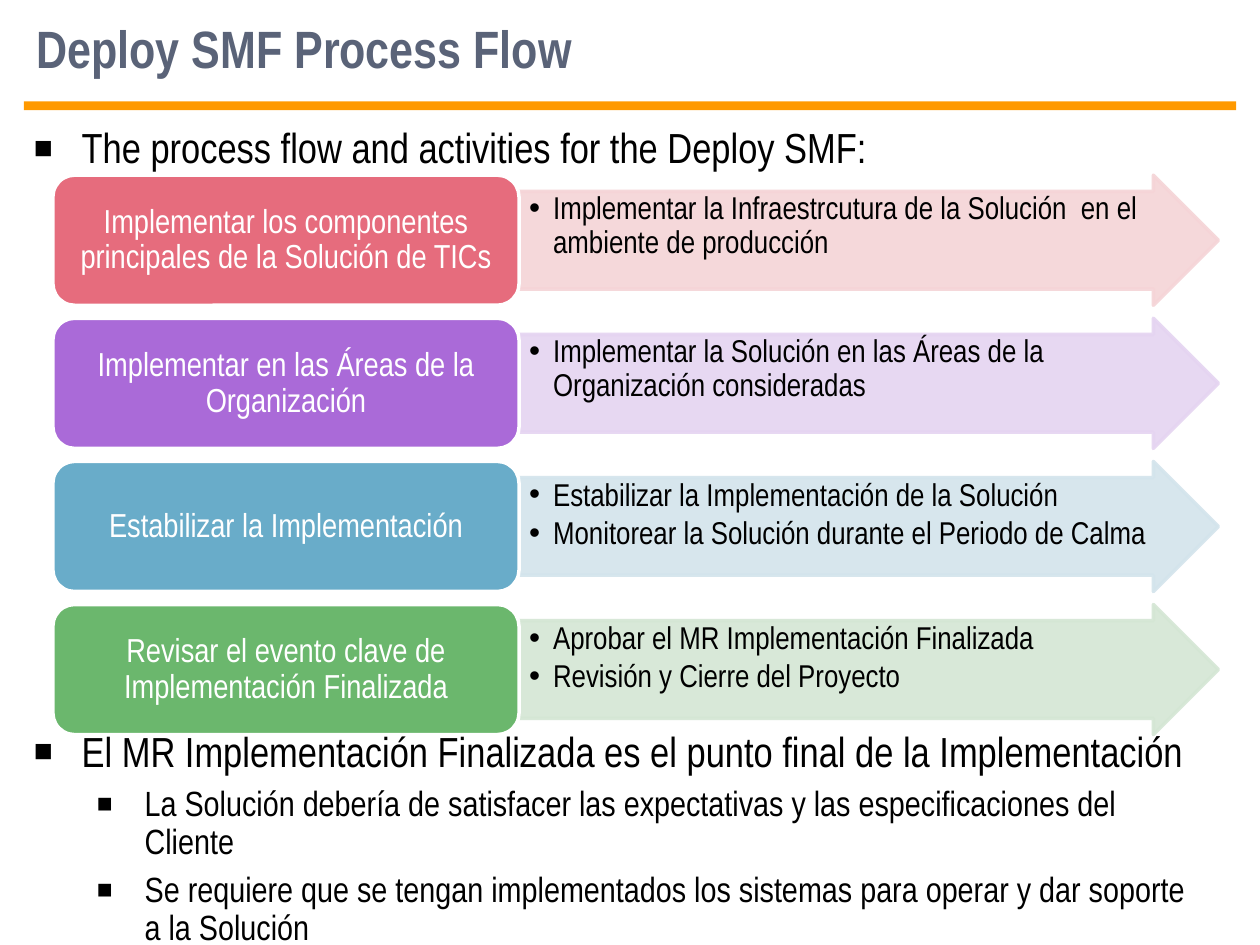
import collections

import pptx
import pptx.dml.color
import pptx.enum.shapes
import pptx.enum.text
import pptx.oxml
import pptx.oxml.ns
import pptx.util

RGBColor = pptx.dml.color.RGBColor
Shapes = pptx.enum.shapes.MSO_SHAPE
Anchor = pptx.enum.text.MSO_ANCHOR
Align = pptx.enum.text.PP_ALIGN

BLACK = RGBColor(0x00, 0x00, 0x00)
WHITE = RGBColor(0xFF, 0xFF, 0xFF)
SLATE = RGBColor(0x5A, 0x63, 0x78)
ORANGE = RGBColor(0xFF, 0x99, 0x00)
RED, PALE_RED = RGBColor(0xE6, 0x6C, 0x7D), RGBColor(0xF5, 0xD4, 0xD7)
PURPLE, PALE_PURPLE = RGBColor(0xAA, 0x6A, 0xD8), RGBColor(0xE5, 0xD4, 0xF1)
BLUE, PALE_BLUE = RGBColor(0x69, 0xAC, 0xC9), RGBColor(0xD3, 0xE4, 0xEC)
GREEN, PALE_GREEN = RGBColor(0x6B, 0xB7, 0x6D), RGBColor(0xD4, 0xE6, 0xD4)

FONT = "Arial Narrow"
SLIDE_WIDTH = pptx.util.Inches(10)
SLIDE_HEIGHT = pptx.util.Inches(7.5)
COLUMN = SLIDE_WIDTH / 100
ROW = SLIDE_HEIGHT / 75

Box = collections.namedtuple("Box", "left top width height")

STEPS = [
    ("Implementar los componentes principales de la Solución de TICs",
     ["Implementar la Infraestrcutura de la Solución  en el ambiente de producción"],
     RED, PALE_RED),
    ("Implementar en las Áreas de la Organización",
     ["Implementar la Solución en las Áreas de la Organización consideradas"],
     PURPLE, PALE_PURPLE),
    ("Estabilizar la Implementación",
     ["Estabilizar la Implementación de la Solución",
      "Monitorear la Solución durante el Periodo de Calma"],
     BLUE, PALE_BLUE),
    ("Revisar el evento clave de Implementación Finalizada",
     ["Aprobar el MR Implementación Finalizada",
      "Revisión y Cierre del Proyecto"],
     GREEN, PALE_GREEN),
]

INTRODUCTION = [(0, "The process flow and activities for the Deploy SMF:")]
CONCLUSION = [
    (0, "El MR Implementación Finalizada es el punto final de la Implementación"),
    (1, "La Solución debería de satisfacer las expectativas y las especificaciones del Cliente"),
    (1, "Se requiere que se tengan implementados los sistemas para operar y dar soporte a la Solución"),
]


def place(box):
    """Turn a box in grid units into slide lengths."""
    return (round(box.left * COLUMN), round(box.top * ROW),
            round(box.width * COLUMN), round(box.height * ROW))


def add_panel(slide, preset, box, fill, line=None):
    """Add a flat preset shape, outlined only when a line colour is given."""
    shape = slide.shapes.add_shape(preset, *place(box))
    shape.shadow.inherit = False
    shape.fill.solid()
    shape.fill.fore_color.rgb = fill
    if line is None:
        shape.line.fill.background()
    else:
        shape.line.color.rgb = line
        shape.line.width = pptx.util.Pt(2)
    return shape


def set_margins(text_frame, across, down):
    """Set the side margins and the top and bottom margins in inches."""
    text_frame.margin_left = text_frame.margin_right = pptx.util.Inches(across)
    text_frame.margin_top = text_frame.margin_bottom = pptx.util.Inches(down)


def write(paragraph, text, size, color, bold=False):
    """Write one paragraph in the slide's font and line spacing."""
    paragraph.text = text
    paragraph.line_spacing = 0.9
    for run in paragraph.runs:
        run.font.name = FONT
        run.font.size = pptx.util.Pt(size)
        run.font.bold = bold
        run.font.color.rgb = color


def add_bullet(paragraph, character, indent, hanging, percent=100):
    """Give a paragraph a bullet character and a hanging indent in inches."""
    properties = paragraph._p.get_or_add_pPr()
    properties.set("marL", str(pptx.util.Inches(indent)))
    properties.set("indent", str(-pptx.util.Inches(hanging)))
    namespace = pptx.oxml.ns.nsdecls("a")
    for markup in (f'<a:buSzPct {namespace} val="{percent * 1000}"/>',
                   f'<a:buFont {namespace} typeface="Arial"/>',
                   f'<a:buChar {namespace} char="{character}"/>'):
        properties.append(pptx.oxml.parse_xml(markup))


def paragraphs_for(text_frame, items):
    """Yield a paragraph of the frame with each item."""
    for index, item in enumerate(items):
        yield (text_frame.add_paragraph() if index else text_frame.paragraphs[0]), item


def make_translucent(shape, percent):
    """Set the opacity of a shape's fill and line."""
    for color in shape._element.spPr.iter(pptx.oxml.ns.qn("a:srgbClr")):
        color.append(pptx.oxml.parse_xml(
            f'<a:alpha {pptx.oxml.ns.nsdecls("a")} val="{percent * 1000}"/>'))


def add_header(slide, box):
    """Place the title and the rule along the bottom of the box."""
    rule_height = 0.7
    text_frame = slide.shapes.add_textbox(
        *place(box._replace(width=93.1, height=5.5))).text_frame
    text_frame.word_wrap = True
    text_frame.vertical_anchor = Anchor.MIDDLE
    write(text_frame.paragraphs[0], "Deploy SMF Process Flow", 30, SLATE, bold=True)
    add_panel(slide, Shapes.RECTANGLE,
              box._replace(top=box.top + box.height - rule_height, height=rule_height), ORANGE)


def add_outline(slide, box, items):
    """Place a two-level list with square bullets."""
    text_frame = slide.shapes.add_textbox(*place(box)).text_frame
    text_frame.word_wrap = True
    for paragraph, (level, text) in paragraphs_for(text_frame, items):
        write(paragraph, text, 24 - 4 * level, BLACK)
        paragraph.level = level
        paragraph.space_before = pptx.util.Pt(6)
        add_bullet(paragraph, "■", 0.38 + 0.5 * level, 0.38, 75)


def add_step(slide, box, name, activities, strong, pale):
    """Place one step: an arrow of activities to the right of a named block."""
    block_width = box.width * 0.4
    arrow = add_panel(slide, Shapes.RIGHT_ARROW,
                      box._replace(left=box.left + block_width, width=box.width * 0.6),
                      pale, pale)
    arrow.adjustments[0], arrow.adjustments[1] = 0.75, 0.5
    make_translucent(arrow, 90)
    arrow.text_frame.word_wrap = True
    arrow.text_frame.vertical_anchor = Anchor.TOP
    set_margins(arrow.text_frame, 0.01, 0.01)
    for paragraph, activity in paragraphs_for(arrow.text_frame, activities):
        write(paragraph, activity, 18, BLACK)
        paragraph.alignment = Align.LEFT
        paragraph.space_after = pptx.util.Pt(2.7)
        add_bullet(paragraph, "•", 0.26, 0.19)

    block = add_panel(slide, Shapes.ROUNDED_RECTANGLE,
                      box._replace(width=block_width), strong, WHITE)
    block.text_frame.word_wrap = True
    block.text_frame.vertical_anchor = Anchor.MIDDLE
    set_margins(block.text_frame, 0.08, 0.04)
    write(block.text_frame.paragraphs[0], name, 19, WHITE)
    block.text_frame.paragraphs[0].alignment = Align.CENTER


def add_process(slide, box, steps):
    """Stack the steps in the box with a gap of a tenth of their height."""
    height = box.height / (len(steps) + 0.1 * (len(steps) - 1))
    for index, step in enumerate(steps):
        add_step(slide, box._replace(top=box.top + 1.1 * height * index, height=height), *step)


def main():
    """Build and save the slide."""
    presentation = pptx.Presentation()
    presentation.slide_width, presentation.slide_height = SLIDE_WIDTH, SLIDE_HEIGHT
    slide = presentation.slides.add_slide(presentation.slide_layouts[6])
    add_header(slide, Box(1.9, 1.3, 96.2, 7.45))
    add_outline(slide, Box(1.7, 9.6, 90, 6.2), INTRODUCTION)
    add_outline(slide, Box(1.7, 57.5, 95, 12.5), CONCLUSION)
    add_process(slide, Box(4.2, 13.9, 92.5, 44.4), STEPS)
    presentation.save("out.pptx")


if __name__ == "__main__":
    main()
